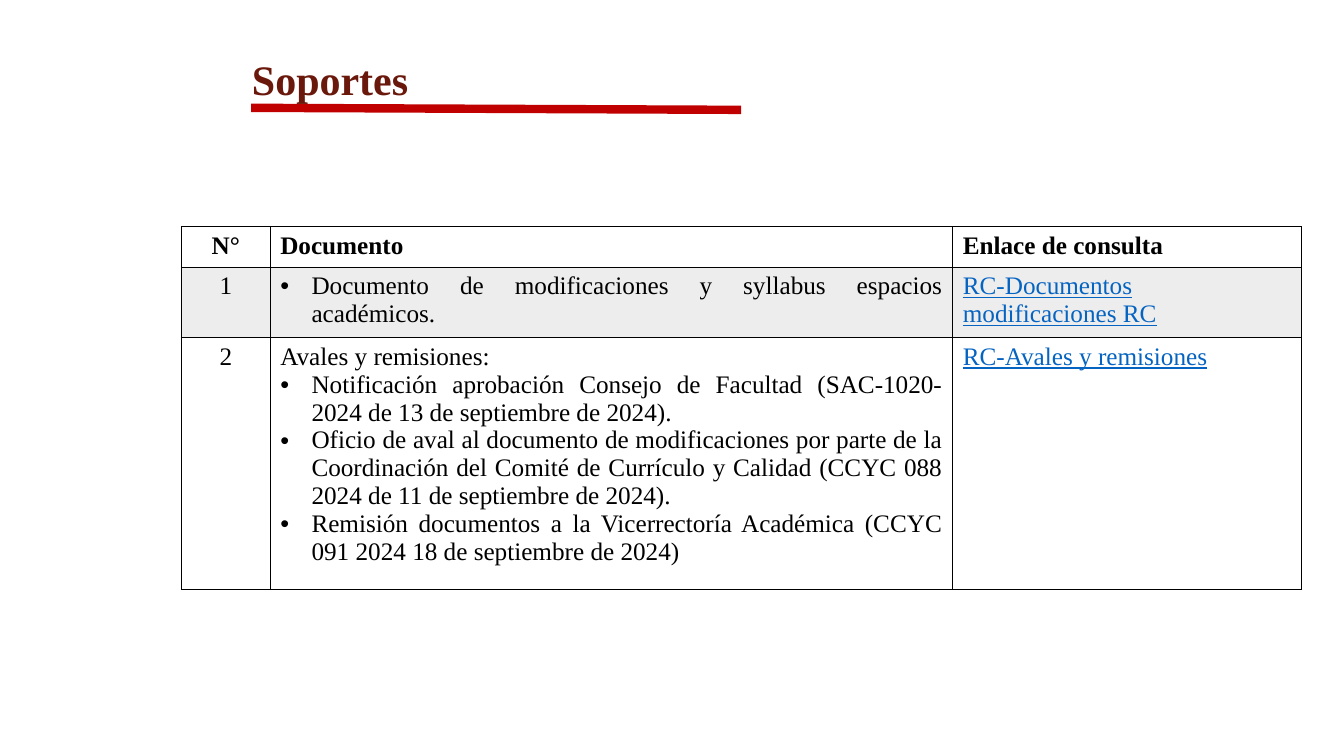
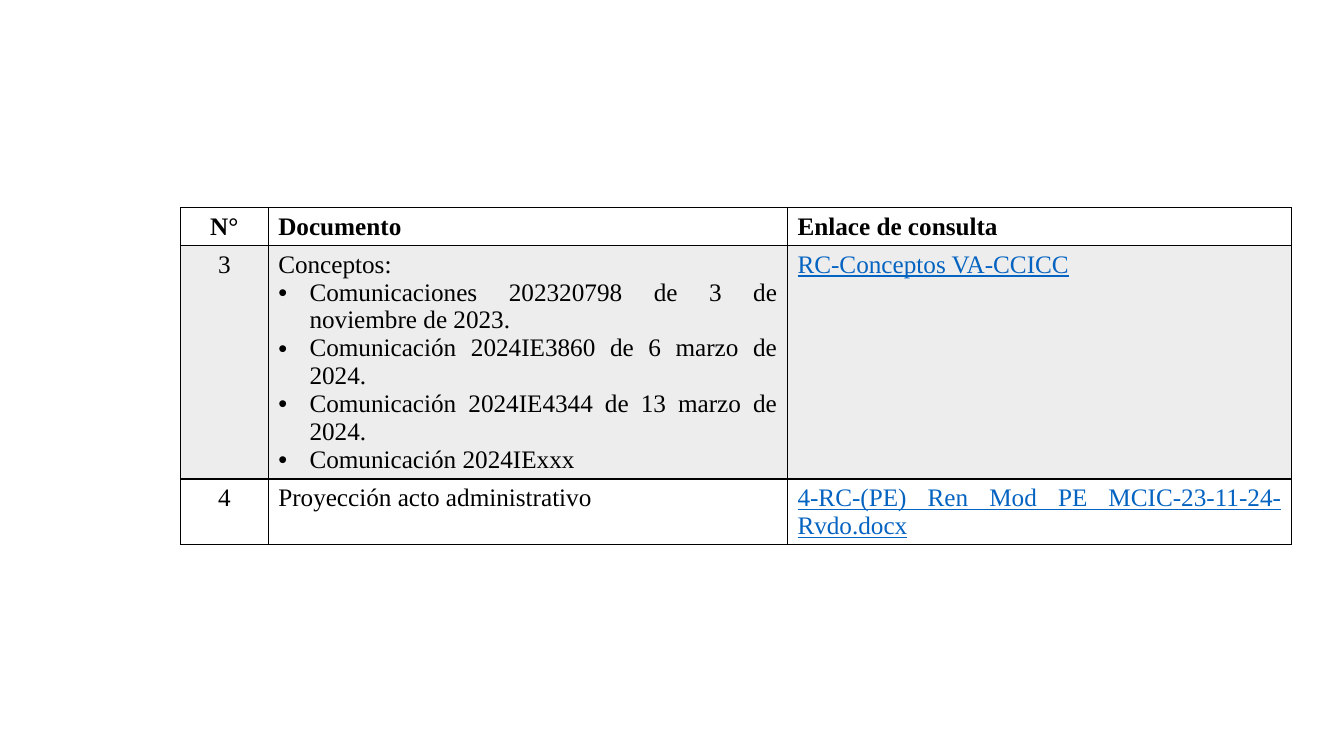
import pptx
import pptx.dml.color
import pptx.enum.shapes
import pptx.enum.text
import pptx.oxml.ns
import pptx.util
from lxml import etree

Inches = pptx.util.Inches
Pt = pptx.util.Pt
ALIGN = pptx.enum.text.PP_ALIGN

FONT = "Times New Roman"
BLACK = "000000"
WHITE = "FFFFFF"
TITLE_BROWN = "69180B"
RULE_RED = "C00000"
LINK_BLUE = "0563C1"
BAND_GREY = "EDEDED"

HEADINGS = ["N°", "Documento", "Enlace de consulta"]
BULLET = "• "
BULLET_INDENT = Inches(0.31)

# Each row: number, paragraphs of the document cell, link label
SUPPORTS = [
    ("1", [BULLET + "Documento de modificaciones y syllabus espacios académicos."],
     "RC-Documentos modificaciones RC"),
    ("2", ["Avales y remisiones:",
           BULLET + "Notificación aprobación Consejo de Facultad (SAC-1020-2024 "
                    "de 13 de septiembre de 2024).",
           BULLET + "Oficio de aval al documento de modificaciones por parte de la "
                    "Coordinación del Comité de Currículo y Calidad (CCYC 088 2024 "
                    "de 11 de septiembre de 2024).",
           BULLET + "Remisión documentos a la Vicerrectoría Académica (CCYC 091 2024 "
                    "18 de septiembre de 2024)"],
     "RC-Avales y remisiones"),
]
CONCEPTS = [
    ("3", ["Conceptos:",
           BULLET + "Comunicaciones 202320798 de 3 de noviembre de 2023.",
           BULLET + "Comunicación 2024IE3860 de 6 marzo de 2024.",
           BULLET + "Comunicación 2024IE4344 de 13 marzo de 2024.",
           BULLET + "Comunicación 2024IExxx"],
     "RC-Conceptos VA-CCICC"),
    ("4", ["Proyección acto administrativo"],
     "4-RC-(PE) Ren Mod PE MCIC-23-11-24-Rvdo.docx"),
]


def rgb(value):
    return pptx.dml.color.RGBColor.from_string(value)


def add_element(parent, tag, **attributes):
    return etree.SubElement(parent, pptx.oxml.ns.qn(tag), attributes)


def style_font(font, size, color=BLACK, bold=False, underline=False):
    font.name = FONT
    font.size = Pt(size)
    font.color.rgb = rgb(color)
    font.bold = bold
    font.underline = underline


def add_title(page, text):
    """Add the slide title with the red rule under it."""
    rule = page.shapes.add_connector(
        pptx.enum.shapes.MSO_CONNECTOR.STRAIGHT,
        Inches(2.49), Inches(1.07), Inches(7.35), Inches(1.09))
    rule.line.color.rgb = rgb(RULE_RED)
    rule.line.width = Pt(6)
    add_element(rule.element.spPr, "a:effectLst")

    box = page.shapes.add_textbox(Inches(2.4), Inches(0.34), Inches(9.68), Inches(0.6))
    box.text_frame.word_wrap = True
    para = box.text_frame.paragraphs[0]
    para.text = text
    para.line_spacing = Pt(46)
    style_font(para.font, 30, TITLE_BROWN, bold=True)


def add_bullet(para):
    properties = para._p.get_or_add_pPr()
    properties.set("marL", str(BULLET_INDENT))
    properties.set("indent", str(-BULLET_INDENT))
    add_element(properties, "a:buFont", typeface="Arial")
    add_element(properties, "a:buChar", char=BULLET.strip())


def add_borders(cell):
    properties = cell._tc.get_or_add_tcPr()
    for side in ("a:lnL", "a:lnR", "a:lnT", "a:lnB"):
        line = add_element(properties, side, w=str(Pt(1)))
        add_element(add_element(line, "a:solidFill"), "a:srgbClr", val=BLACK)


def fill_cell(cell, lines, fill, align, **font_style):
    add_borders(cell)
    cell.fill.solid()
    cell.fill.fore_color.rgb = rgb(fill)
    frame = cell.text_frame
    for index, line in enumerate(lines):
        para = frame.add_paragraph() if index else frame.paragraphs[0]
        para.text = line.removeprefix(BULLET)
        para.alignment = align
        if line.startswith(BULLET):
            add_bullet(para)
        style_font(para.font, 18, **font_style)


def add_document_table(page, left, top, widths, heights, records):
    """Add a table of numbered documents whose first record is shaded."""
    frame = page.shapes.add_table(
        len(records) + 1, len(HEADINGS), Inches(left), Inches(top),
        Inches(sum(widths)), Inches(sum(heights)))
    table = frame.table
    table.first_row = table.horz_banding = False
    for column, width in zip(table.columns, widths):
        column.width = Inches(width)
    for row, height in zip(table.rows, heights):
        row.height = Inches(height)

    for column, heading in enumerate(HEADINGS):
        align = ALIGN.LEFT if column else ALIGN.CENTER
        fill_cell(table.cell(0, column), [heading], WHITE, align, bold=True)
    for row, (number, documents, link) in enumerate(records, start=1):
        fill = BAND_GREY if row % 2 else WHITE
        fill_cell(table.cell(row, 0), [number], fill, ALIGN.CENTER)
        fill_cell(table.cell(row, 1), documents, fill, ALIGN.JUSTIFY)
        fill_cell(table.cell(row, 2), [link], fill, ALIGN.JUSTIFY,
                  color=LINK_BLUE, underline=True)


def add_page(deck):
    return deck.slides.add_slide(deck.slide_layouts[6])


def main():
    deck = pptx.Presentation()
    deck.slide_width = Inches(13.33)
    deck.slide_height = Inches(7.5)

    page = add_page(deck)
    add_title(page, "Soportes")
    add_document_table(page, 1.8, 2.25, [0.88, 6.77, 3.46], [0.37, 0.65, 2.31], SUPPORTS)

    page = add_page(deck)
    add_document_table(page, 1.79, 2.06, [0.87, 5.15, 5], [0.37, 2.31, 0.65], CONCEPTS)

    deck.save("out.pptx")


if __name__ == "__main__":
    main()
